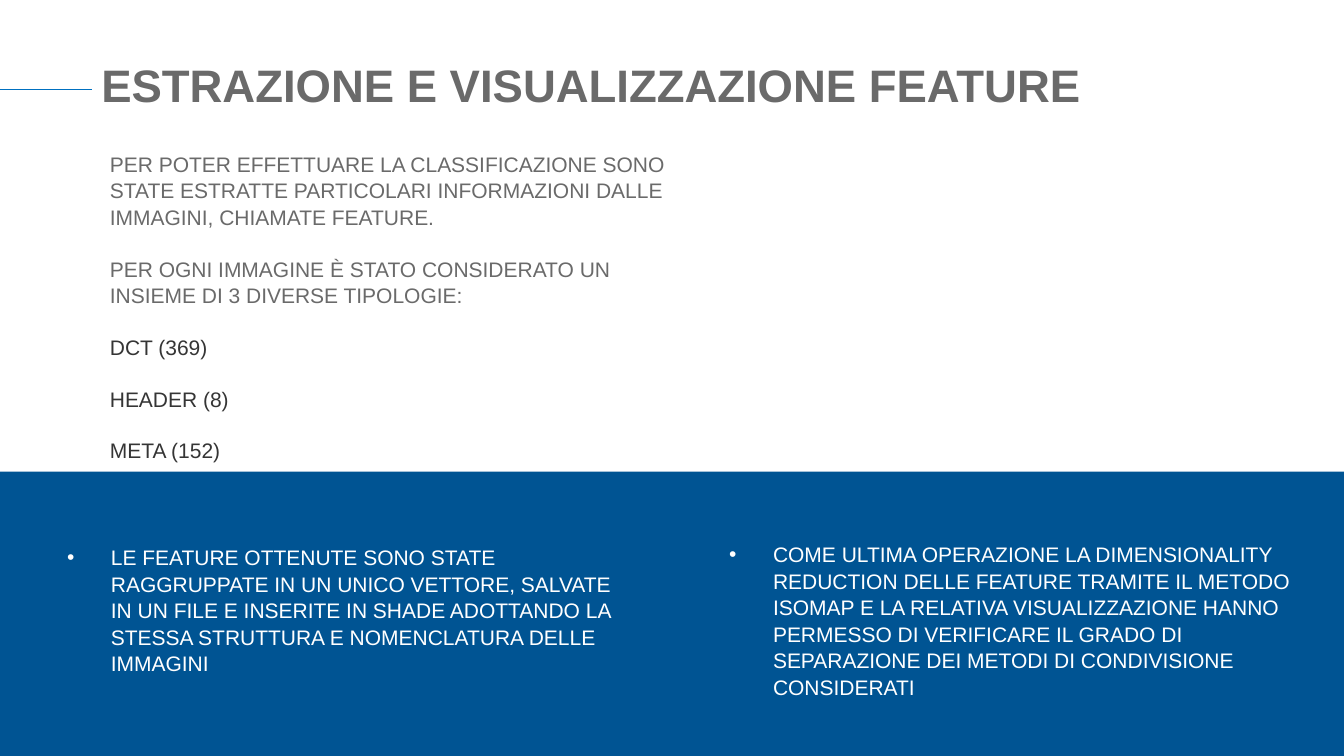
from lxml import etree
from pptx import Presentation
from pptx.dml.color import RGBColor
from pptx.enum.shapes import MSO_CONNECTOR, MSO_SHAPE
from pptx.enum.text import MSO_ANCHOR, MSO_AUTO_SIZE, PP_ALIGN
from pptx.oxml.ns import qn
from pptx.util import Inches, Pt

RECTANGLE = MSO_SHAPE.RECTANGLE
STRAIGHT = MSO_CONNECTOR.STRAIGHT
TOP, MIDDLE = MSO_ANCHOR.TOP, MSO_ANCHOR.MIDDLE
NO_AUTOFIT = MSO_AUTO_SIZE.NONE
LEFT = PP_ALIGN.LEFT

WIDTH, HEIGHT = 26.67, 15
BAND_TOP = 9.36
FONT, TITLE_SIZE, BODY_SIZE = "Arial", 65, 30
LINE_SPACING, BLANK_LINE = 1.05, 36.2
BLUE, RULE_BLUE, WHITE = "005493", "0070C0", "FFFFFF"
GREY, DARK = "6A6A6A", "353535"

TITLE = "ESTRAZIONE E VISUALIZZAZIONE FEATURE"
INTRO = [
    ("PER POTER EFFETTUARE LA CLASSIFICAZIONE SONO STATE ESTRATTE PARTICOLARI "
     "INFORMAZIONI DALLE IMMAGINI, CHIAMATE FEATURE.", GREY),
    ("PER OGNI IMMAGINE È STATO CONSIDERATO UN INSIEME DI 3 DIVERSE TIPOLOGIE:", GREY),
    ("DCT (369)", DARK),
    ("HEADER (8)", DARK),
    ("META (152)", DARK),
]
STORAGE = ("LE FEATURE OTTENUTE SONO STATE RAGGRUPPATE IN UN UNICO VETTORE, SALVATE IN UN "
           "FILE E INSERITE IN SHADE ADOTTANDO LA STESSA STRUTTURA E NOMENCLATURA DELLE IMMAGINI")
REDUCTION = ("COME ULTIMA OPERAZIONE LA DIMENSIONALITY REDUCTION DELLE FEATURE TRAMITE IL METODO "
             "ISOMAP E LA RELATIVA VISUALIZZAZIONE HANNO PERMESSO DI VERIFICARE IL GRADO DI "
             "SEPARAZIONE DEI METODI DI CONDIVISIONE CONSIDERATI")


def color(hex_value):
    return RGBColor.from_string(hex_value)


class FeatureSlide:
    """Holds the style and the current slide, with one method per element."""

    def __init__(self, slide):
        self.slide = slide

    def band(self, left, top, width, height, fill):
        band = self.slide.shapes.add_shape(
            RECTANGLE, Inches(left), Inches(top), Inches(width), Inches(height))
        band.shadow.inherit = False
        band.fill.solid()
        band.fill.fore_color.rgb = color(fill)
        band.line.fill.background()
        self.slide.shapes._spTree.insert(2, band._element)

    def rule(self, left, right, y, stroke, weight):
        rule = self.slide.shapes.add_connector(
            STRAIGHT, Inches(left), Inches(y), Inches(right), Inches(y))
        rule.line.color.rgb = color(stroke)
        rule.line.width = Pt(weight)
        etree.SubElement(rule._element.spPr, qn("a:effectLst"))

    def frame(self, shape, box, inset, anchor):
        shape.left, shape.top, shape.width, shape.height = map(Inches, box)
        text = shape.text_frame
        text.word_wrap = True
        text.auto_size = NO_AUTOFIT
        text.vertical_anchor = anchor
        text.margin_left = text.margin_right = Inches(inset)
        text.margin_top = text.margin_bottom = Inches(inset)
        return text

    def set_words(self, paragraph, words, size, ink, bold=False, before=0):
        paragraph.text = words
        paragraph.alignment = LEFT
        paragraph.line_spacing = LINE_SPACING
        paragraph.space_before = Pt(before)
        font = paragraph.font
        font.name, font.size, font.bold = FONT, Pt(size), bold
        font.color.rgb = color(ink)

    def indent(self, paragraph, margin, first):
        properties = paragraph._p.get_or_add_pPr()
        properties.set("marL", str(Inches(margin)))
        properties.set("indent", str(Inches(first)))
        return properties

    def title(self, words, box):
        text = self.frame(self.slide.shapes.title, box, 0.08, MIDDLE)
        self.set_words(text.paragraphs[0], words, TITLE_SIZE, GREY, bold=True)

    def bullet(self, index, words, box):
        text = self.frame(self.slide.placeholders[index], box, 0.06, MIDDLE)
        item = text.paragraphs[0]
        properties = self.indent(item, 1.22, -0.87)
        bullet_color = etree.SubElement(properties, qn("a:buClr"))
        etree.SubElement(bullet_color, qn("a:srgbClr"), val=WHITE)
        etree.SubElement(properties, qn("a:buFont"), typeface=FONT)
        etree.SubElement(properties, qn("a:buChar"), char="•")
        self.set_words(item, words, BODY_SIZE, WHITE)

    def passage(self, lines, box):
        text = self.frame(self.slide.shapes.add_textbox(0, 0, 0, 0), box, 0.06, TOP)
        for number, (words, ink) in enumerate(lines):
            paragraph = text.add_paragraph() if number else text.paragraphs[0]
            self.indent(paragraph, 0.35, 0)
            self.set_words(paragraph, words, BODY_SIZE, ink, before=BLANK_LINE if number else 0)


def main():
    deck = Presentation()
    deck.slide_width, deck.slide_height = Inches(WIDTH), Inches(HEIGHT)
    page = FeatureSlide(deck.slides.add_slide(deck.slide_layouts[3]))
    page.band(0, BAND_TOP, WIDTH, HEIGHT - BAND_TOP, BLUE)
    page.bullet(1, STORAGE, (0.92, 10.78, 11.63, 2.64))
    page.bullet(2, REDUCTION, (14.06, 10.73, 11.63, 3.14))
    page.passage(INTRO, (1.77, 2.92, 11.95, 6.68))
    page.rule(0, 1.83, 1.78, RULE_BLUE, 2.25)
    page.title(TITLE, (1.93, 1.02, 22.9, 1.25))
    deck.save("out.pptx")


if __name__ == "__main__":
    main()
